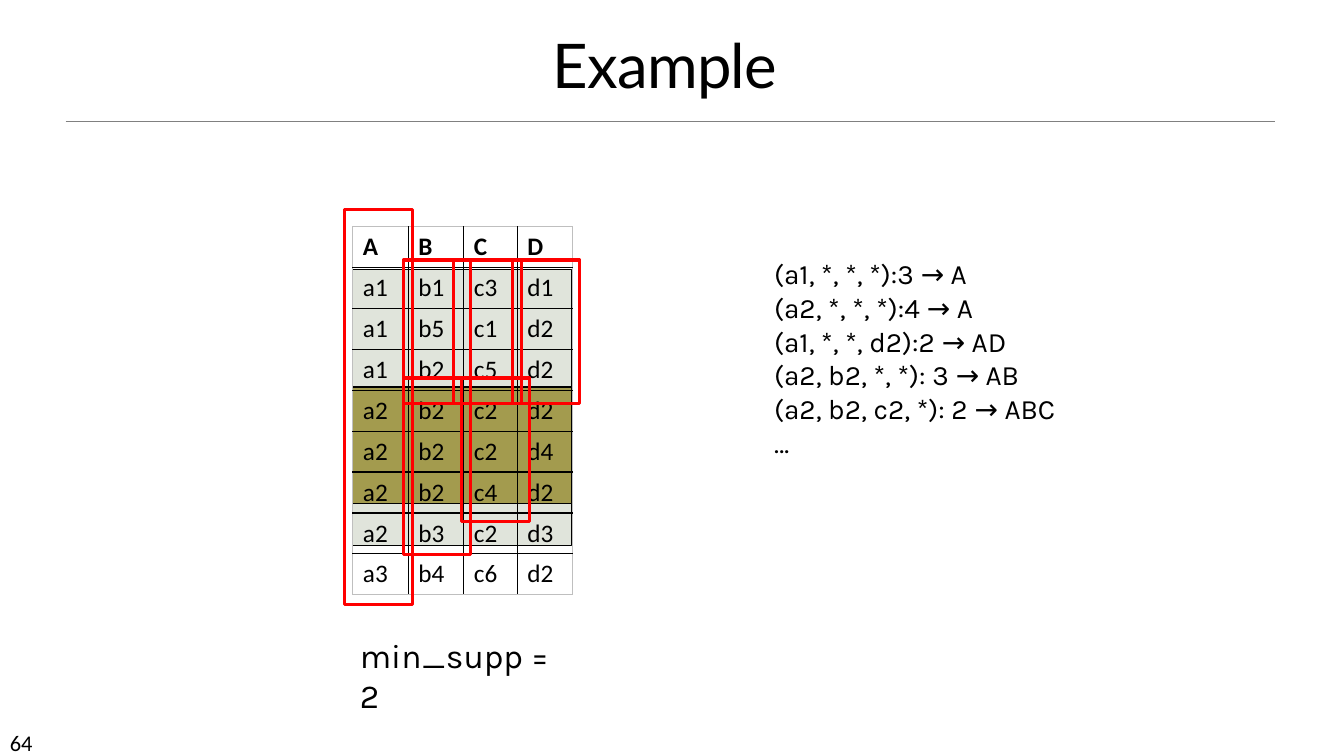
from dataclasses import dataclass
from typing import Optional

from lxml.etree import SubElement
from pptx import Presentation
from pptx.dml.color import RGBColor
from pptx.enum.shapes import MSO_CONNECTOR, MSO_SHAPE
from pptx.enum.text import MSO_ANCHOR as Anchor, MSO_AUTO_SIZE as AutoSize, PP_ALIGN as Align
from pptx.oxml.ns import qn
from pptx.slide import Slide
from pptx.table import _Cell as Cell
from pptx.text.text import TextFrame
from pptx.util import Inches, Pt

COLORS = {
    "black": "000000",
    "rule": "808080",
    "edge": "BFBFBF",
    "sage": "E0E4DB",
    "olive": "A39B4E",
    "red": "FF0000",
}


@dataclass(frozen=True)
class Frame:
    left: float
    top: float
    width: float
    height: float
    line: str = "red"
    weight: float = 2.25
    fill: Optional[str] = None


def band(top: float, height: float, fill: str) -> Frame:
    return Frame(3.5, top, 2.17, height, "black", 0.75, fill)


BANDS = [band(3.83, 1.58, "sage"), band(3.83, 1.17, "olive"), band(2.67, 1.17, "sage")]
COLUMN_A_MARK = Frame(3.42, 2.08, 0.67, 3.92)
PARTITION_MARKS = [Frame(left, 2.58, 0.67, 1.42) for left in (4, 4.5, 5.08)] + [
    Frame(4, 3.75, 0.67, 1.75),
    Frame(4.58, 3.75, 0.67, 1.42),
]

RECORDS = [
    line.split()
    for line in (
        "A B C D",
        "a1 b1 c3 d1",
        "a1 b5 c1 d2",
        "a1 b2 c5 d2",
        "a2 b2 c2 d2",
        "a2 b2 c2 d4",
        "a2 b2 c4 d2",
        "a2 b3 c2 d3",
        "a3 b4 c6 d2",
    )
]
COLUMN_WIDTHS = [0.55, 0.55, 0.53, 0.55]
ROW_HEIGHT = 0.4

GROUPS = """(a1, *, *, *):3 → A
(a2, *, *, *):4 → A
(a1, *, *, d2):2 → AD
(a2, b2, *, *): 3 → AB
(a2, b2, c2, *): 2 → ABC
…"""


def color(name: str) -> RGBColor:
    return RGBColor.from_string(COLORS[name])


def write(frame: TextFrame, text: str, *, font: str, size: float, bold: bool = False,
          align: Align = Align.LEFT, line_spacing: Optional[float] = None,
          tracking: float = 0) -> None:
    for index, line in enumerate(text.split("\n")):
        para = frame.add_paragraph() if index else frame.paragraphs[0]
        para.alignment = align
        if line_spacing:
            para.line_spacing = line_spacing
        span = para.add_run()
        span.text = line
        span.font.name = font
        span.font.size = Pt(size)
        span.font.bold = bold
        span.font.color.rgb = color("black")
        if tracking:
            span.font._element.set("spc", str(round(tracking * 100)))


def add_text(page: Slide, left: float, top: float, width: float, height: float, text: str, *,
             anchor: Anchor = Anchor.TOP, grow: bool = False, **style) -> None:
    box = page.shapes.add_textbox(Inches(left), Inches(top), Inches(width), Inches(height))
    frame = box.text_frame
    frame.word_wrap = True
    frame.vertical_anchor = anchor
    frame.auto_size = AutoSize.SHAPE_TO_FIT_TEXT if grow else AutoSize.NONE
    write(frame, text, **style)


def add_frame(page: Slide, item: Frame) -> None:
    box = page.shapes.add_shape(MSO_SHAPE.RECTANGLE, Inches(item.left), Inches(item.top),
                                Inches(item.width), Inches(item.height))
    box.shadow.inherit = False
    if item.fill:
        box.fill.solid()
        box.fill.fore_color.rgb = color(item.fill)
    else:
        box.fill.background()
    box.line.color.rgb = color(item.line)
    box.line.width = Pt(item.weight)


def add_border(cell: Cell, side: str, name: str) -> None:
    line = SubElement(cell._tc.get_or_add_tcPr(), qn(f"a:ln{side}"), w=str(Pt(1)))
    fill = SubElement(line, qn("a:solidFill"))
    SubElement(fill, qn("a:srgbClr"), val=COLORS[name])


def add_records(page: Slide) -> None:
    rows, columns = len(RECORDS), len(COLUMN_WIDTHS)
    table = page.shapes.add_table(rows, columns, Inches(3.5), Inches(2.25),
                                  Inches(sum(COLUMN_WIDTHS)), Inches(rows * ROW_HEIGHT)).table
    table.first_row = table.horz_banding = False
    for column, width in zip(table.columns, COLUMN_WIDTHS):
        column.width = Inches(width)
    for r, record in enumerate(RECORDS):
        table.rows[r].height = Inches(ROW_HEIGHT)
        for c, value in enumerate(record):
            cell = table.cell(r, c)
            outer = {"L": c == 0, "R": c == columns - 1, "T": r == 0, "B": r == rows - 1}
            for side, is_outer in outer.items():
                add_border(cell, side, "edge" if is_outer else "black")
            cell.fill.background()
            cell.vertical_anchor = Anchor.MIDDLE
            write(cell.text_frame, value, font="Calibri", size=18, bold=r == 0)


def add_rule(page: Slide) -> None:
    rule = page.shapes.add_connector(MSO_CONNECTOR.STRAIGHT, Inches(0.65), Inches(1.2),
                                     Inches(12.65), Inches(1.2))
    rule.line.color.rgb = color("rule")
    rule.line.width = Pt(0.5)
    SubElement(rule._element.spPr, qn("a:effectLst"))


def main() -> None:
    deck = Presentation()
    deck.slide_width, deck.slide_height = Inches(13.33), Inches(7.5)
    page = deck.slides.add_slide(deck.slide_layouts[6])
    add_rule(page)
    add_text(page, 0, 7.18, 1.17, 0.3, "64", font="Calibri", size=16)
    for item in BANDS:
        add_frame(page, item)
    add_records(page)
    add_text(page, 0.38, 0.24, 12.43, 0.81, "Example", font="Lato", size=44,
             anchor=Anchor.BOTTOM, align=Align.CENTER, line_spacing=0.85, tracking=-0.5)
    add_text(page, 3.47, 6.25, 2.28, 0.51, "min_supp = 2", font="Karla", size=24, grow=True)
    add_frame(page, COLUMN_A_MARK)
    add_text(page, 7.58, 2.5, 3.27, 2.12, GROUPS, font="Karla", size=20, grow=True)
    for item in PARTITION_MARKS:
        add_frame(page, item)
    deck.save("out.pptx")


if __name__ == "__main__":
    main()
